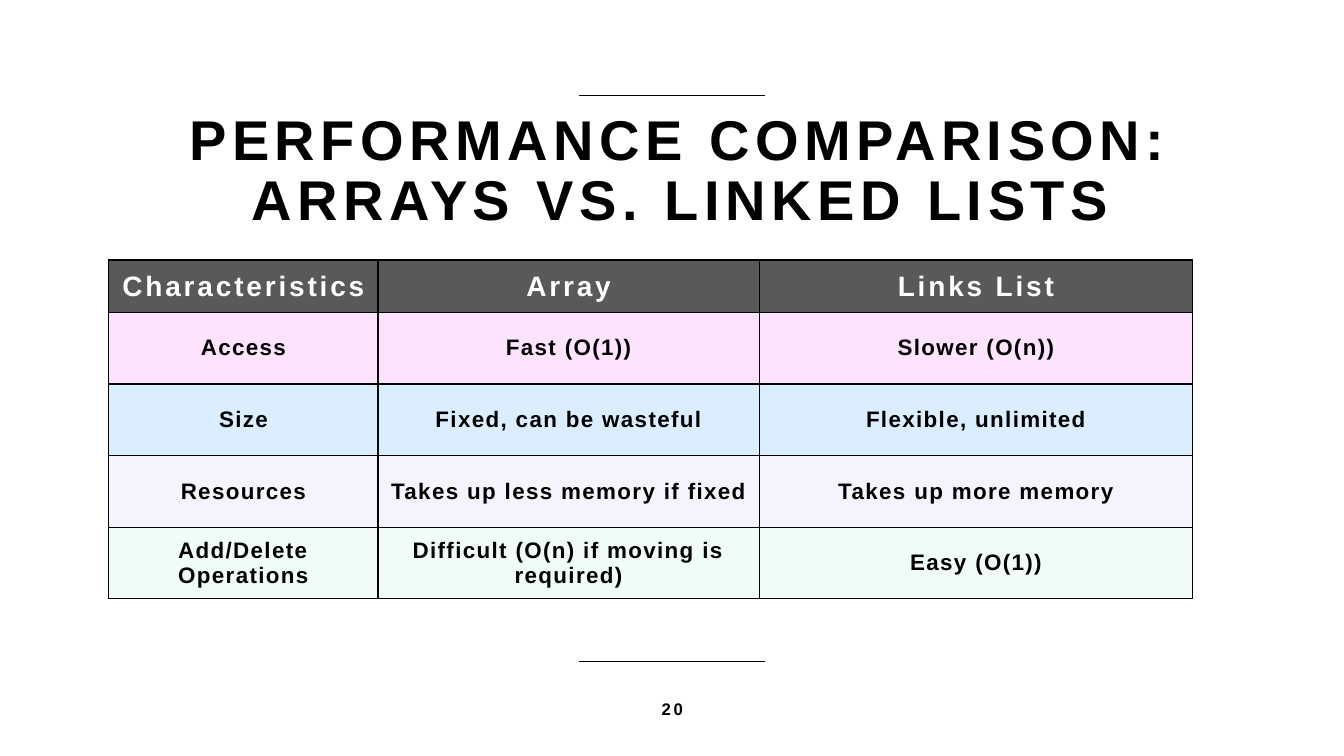
from dataclasses import dataclass

from lxml import etree
from pptx import Presentation
from pptx import util as u
from pptx.dml.color import RGBColor
from pptx.enum import shapes, text
from pptx.oxml.ns import qn

COLOURS = {
    "ink": "000000",
    "paper": "FFFFFF",
    "header": "595959",
    "pink": "FBA3FB",
    "blue": "B6DFFF",
    "lilac": "EDEBFE",
    "mint": "E3FBF3",
}
SLIDE_WIDTH, SLIDE_HEIGHT = u.Inches(13.333), u.Inches(7.5)
TABLE_COLUMNS = (20.03, 28.36, 32.26)
RULE_ROWS = (12.67, 87.47)
BORDER = u.Pt(1)


@dataclass(frozen=True)
class TextStyle:
    size: int
    spacing: int
    colour: str = "ink"


@dataclass(frozen=True)
class TableRow:
    labels: tuple[str, str, str]
    fill: str
    opacity: int
    height: float = 9.47
    style: TextStyle = TextStyle(16, 1)


TITLE_STYLE = TextStyle(40, 4)
NUMBER_STYLE = TextStyle(12, 2)
ROWS = (
    TableRow(("Characteristics", "Array", "Links List"), "header", 100, 6.93,
             TextStyle(20, 2, "paper")),
    TableRow(("Access", "Fast (O(1))", "Slower (O(n))"), "pink", 30),
    TableRow(("Size", "Fixed, can be wasteful", "Flexible, unlimited"), "blue", 50),
    TableRow(("Resources", "Takes up less memory if fixed", "Takes up more memory"),
             "lilac", 50),
    TableRow(("Add/Delete Operations", "Difficult (O(n) if moving is required)",
              "Easy (O(1))"), "mint", 50),
)


def across(percent: float) -> int:
    return round(SLIDE_WIDTH * percent / 100)


def down(percent: float) -> int:
    return round(SLIDE_HEIGHT * percent / 100)


def colour(name: str) -> RGBColor:
    return RGBColor.from_string(COLOURS[name])


def write(frame, wording: str, style: TextStyle):
    """Put one centred, bold, letter-spaced run in the frame."""
    para = frame.paragraphs[0]
    para.alignment = text.PP_ALIGN.CENTER
    span = para.add_run()
    span.text = wording
    span.font.name = "Arial"
    span.font.size = u.Pt(style.size)
    span.font.bold = True
    span.font.color.rgb = colour(style.colour)
    span._r.get_or_add_rPr().set("spc", str(style.spacing * 100))
    return para


def add_title(page) -> None:
    title = page.shapes.title
    title.left, title.top = across(5.63), down(10)
    title.width, title.height = across(90), down(22.93)
    frame = title.text_frame
    frame.word_wrap = True
    frame.auto_size = text.MSO_AUTO_SIZE.NONE
    frame.vertical_anchor = text.MSO_ANCHOR.MIDDLE
    frame.margin_left = frame.margin_right = u.Inches(0.1)
    frame.margin_top, frame.margin_bottom = u.Inches(0.2), 0
    para = write(frame, "PERFORMANCE COMPARISON: ARRAYS VS. LINKED LISTS", TITLE_STYLE)
    para.line_spacing = 0.9


def add_rule(page, row: float) -> None:
    rule = page.shapes.add_connector(
        shapes.MSO_CONNECTOR.STRAIGHT, across(43.05), down(row), across(56.93), down(row))
    rule.line.color.rgb = colour("ink")
    rule.line.width = BORDER
    etree.SubElement(rule._element.spPr, qn("a:effectLst"))


def add_borders(cell) -> None:
    properties = cell._tc.get_or_add_tcPr()
    for side in ("lnL", "lnR", "lnT", "lnB"):
        line = etree.SubElement(properties, qn(f"a:{side}"), w=str(BORDER))
        fill = etree.SubElement(line, qn("a:solidFill"))
        etree.SubElement(fill, qn("a:srgbClr"), val=COLOURS["ink"])


def fill_cell(cell, name: str, opacity: int) -> None:
    cell.fill.solid()
    cell.fill.fore_color.rgb = colour(name)
    if opacity < 100:
        tint = cell._tc.tcPr.find(qn("a:solidFill")).find(qn("a:srgbClr"))
        etree.SubElement(tint, qn("a:alpha"), val=str(opacity * 1000))


def add_comparison(page) -> None:
    table = page.shapes.add_table(
        len(ROWS), len(TABLE_COLUMNS), across(8.1), down(34.4),
        across(sum(TABLE_COLUMNS)), down(sum(row.height for row in ROWS))).table
    table.horz_banding = False
    for column, width in zip(table.columns, TABLE_COLUMNS):
        column.width = across(width)
    for table_row, row in zip(table.rows, ROWS):
        table_row.height = down(row.height)
        for cell, label in zip(table_row.cells, row.labels):
            add_borders(cell)
            fill_cell(cell, row.fill, row.opacity)
            cell.vertical_anchor = text.MSO_ANCHOR.MIDDLE
            write(cell.text_frame, label, row.style)


def add_page_number(page) -> None:
    box = page.shapes.add_textbox(across(33.15), down(87.6), across(33.75), down(12.4))
    box.text_frame.word_wrap = True
    box.text_frame.vertical_anchor = text.MSO_ANCHOR.MIDDLE
    write(box.text_frame, "20", NUMBER_STYLE)


def main() -> None:
    deck = Presentation()
    deck.slide_width, deck.slide_height = SLIDE_WIDTH, SLIDE_HEIGHT
    page = deck.slides.add_slide(deck.slide_layouts.get_by_name("Title Only"))
    page.background.fill.solid()
    page.background.fill.fore_color.rgb = colour("paper")
    for row in RULE_ROWS:
        add_rule(page, row)
    add_title(page)
    add_comparison(page)
    add_page_number(page)
    deck.save("out.pptx")


if __name__ == "__main__":
    main()
